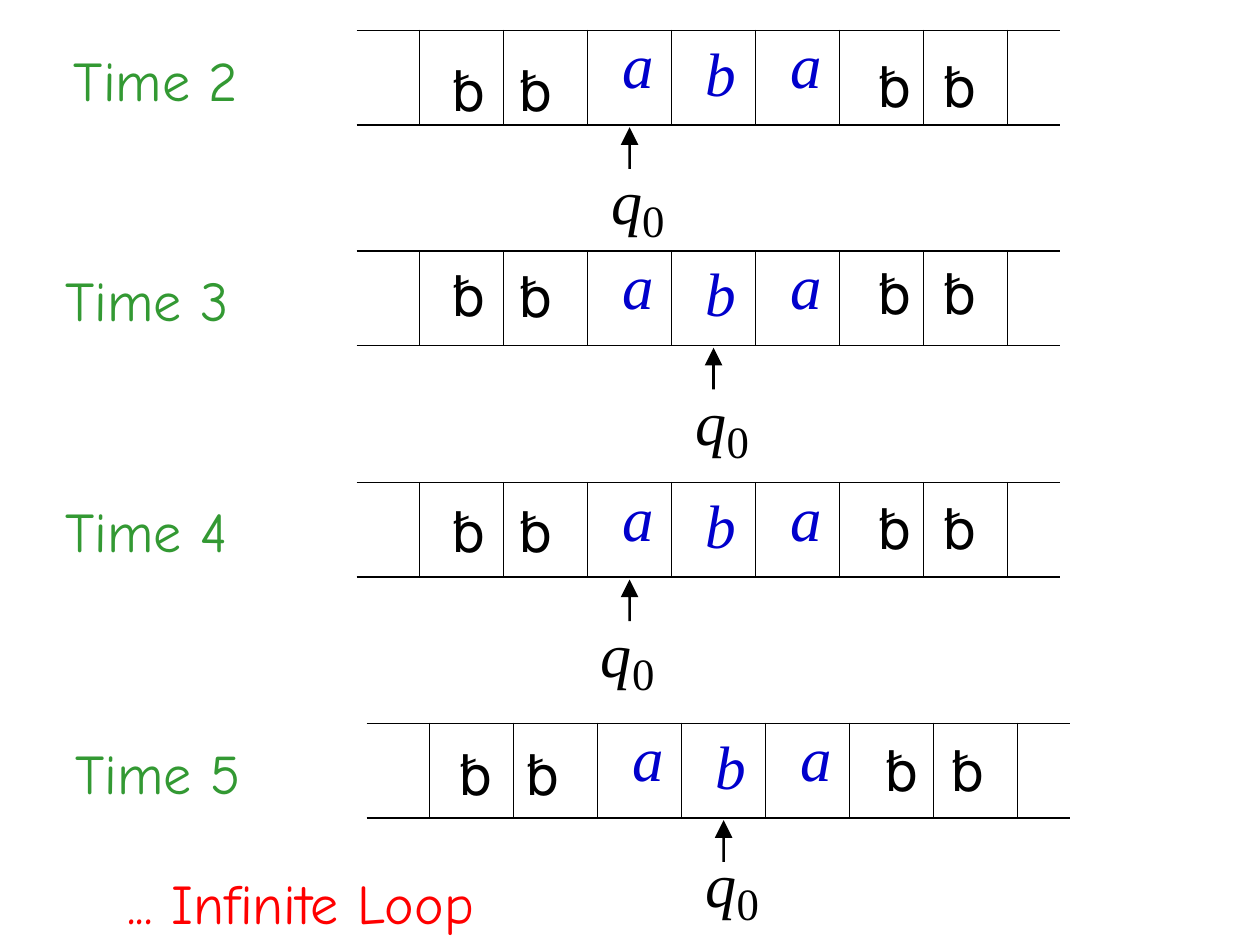
"""Build a slide tracing a Turing machine tape through an infinite loop."""
from lxml import etree
from pptx import Presentation
from pptx import util as u
from pptx.dml.color import RGBColor
from pptx.enum import shapes, text
from pptx.oxml.ns import qn

STEPS = [
    {"label": "Time 2", "label_at": (0.51, 0.35), "align": text.PP_ALIGN.CENTER, "tape": (2.83, 0.24),
     "head": 3, "state": (4.84, 1.15), "blank_left": 3.5, "blank_tops": (0.39, 0.39, 0.36, 0.36)},
    {"label": "Time 3", "label_at": (0.51, 2.1), "align": text.PP_ALIGN.LEFT, "tape": (2.83, 1.99),
     "head": 4, "state": (5.51, 2.9), "blank_left": 3.5, "blank_tops": (2.02, 2.03, 2, 2)},
    {"label": "Time 4", "label_at": (0.51, 3.93), "align": text.PP_ALIGN.LEFT, "tape": (2.83, 3.83),
     "head": 3, "state": (4.76, 4.74), "blank_left": 3.5, "blank_tops": (3.89, 3.89, 3.87, 3.87)},
    {"label": "Time 5", "label_at": (0.59, 5.85), "align": text.PP_ALIGN.LEFT, "tape": (2.91, 5.74),
     "head": 4, "state": (5.59, 6.57), "blank_left": 3.56, "blank_tops": (5.82, 5.82, 5.79, 5.79)},
]
SYMBOLS = {3: "a", 4: "b", 5: "a"}
SYMBOL_STYLE = {"a": (36, 0.28, 0.02, 1.1), "b": (35, 0.27, 0.09, 6)}
BLANK_OFFSETS = (0, 0.53, 3.38, 3.9)
FIRST, CELL, LAST, HEIGHT = 0.5, 2 / 3, 0.42, 0.75
WIDTHS = [FIRST] + [CELL] * 7 + [LAST]
HEAD_WIDTH, HEAD_HEIGHT, SHAFT_WIDTH = 0.14, 0.33, 0.02
BLACK, BLUE, GREEN, RED = "000000", "0000CC", "339933", "FF0000"


def style(font, name, size, color, italic=False):
    font.name, font.size, font.italic = name, u.Pt(size), italic
    font.color.rgb = RGBColor.from_string(color)


def indent(paragraph, left, before):
    paragraph.space_before = u.Pt(before)
    properties = paragraph._p.get_or_add_pPr()
    properties.set("marL", str(u.Inches(left)))
    properties.set("indent", "0")


def add_box(slide, left, top, width, height, inset=None):
    box = slide.shapes.add_textbox(*map(u.Inches, (left, top, width, height)))
    frame = box.text_frame
    frame.auto_size = text.MSO_AUTO_SIZE.SHAPE_TO_FIT_TEXT
    frame.word_wrap = inset is not None
    paragraph = frame.paragraphs[0]
    if inset is not None:
        frame.margin_left = frame.margin_right = frame.margin_bottom = 0
        frame.margin_top = u.Inches(inset)
        indent(paragraph, 0.01, 1.1)
    return paragraph


def add_caption(slide, words, left, top, width, color, align=text.PP_ALIGN.LEFT):
    paragraph = add_box(slide, left, top, width, 0.55, 0.01)
    paragraph.text, paragraph.alignment = words, align
    style(paragraph.font, "Comic Neue", 32, color)


def add_state(slide, left, top):
    paragraph = add_box(slide, left, top, 0.47, 0.61, 0.02)
    for letter, size, italic in (("q", 35.5, True), ("0", 44.2, False)):
        run = paragraph.add_run()
        run.text = letter
        style(run.font, "Times New Roman", size, BLACK, italic)
    run.font._element.set("baseline", "-17000")


def set_borders(cell, hidden):
    properties = cell._tc.get_or_add_tcPr()
    for position, side in enumerate("LRTB"):
        line = etree.Element(qn(f"a:ln{side}"), w=str(u.Pt(1)))
        if side == hidden:
            etree.SubElement(line, qn("a:noFill"))
        else:
            fill = etree.SubElement(line, qn("a:solidFill"))
            etree.SubElement(fill, qn("a:srgbClr"), val=BLACK)
        properties.insert(position, line)


def add_tape(slide, left, top):
    frame = slide.shapes.add_table(1, len(WIDTHS), *map(u.Inches, (left, top, sum(WIDTHS), HEIGHT)))
    table = frame.table
    table.first_row = table.horz_banding = False
    for index, width in enumerate(WIDTHS):
        table.columns[index].width = u.Inches(width)
        cell = table.cell(0, index)
        cell.fill.background()
        set_borders(cell, {0: "L", len(WIDTHS) - 1: "R"}.get(index))
        cell.margin_left = cell.margin_right = cell.margin_top = cell.margin_bottom = 0
        if index in SYMBOLS:
            symbol = SYMBOLS[index]
            size, left_indent, inset, before = SYMBOL_STYLE[symbol]
            cell.margin_top = u.Inches(inset)
            paragraph = cell.text_frame.paragraphs[0]
            paragraph.text = symbol
            indent(paragraph, left_indent, before)
            style(paragraph.font, "Times New Roman", size, BLUE, True)


def add_head(slide, x, top):
    bounds = (x - HEAD_WIDTH / 2, top, HEAD_WIDTH, HEAD_HEIGHT)
    arrow = slide.shapes.add_shape(shapes.MSO_SHAPE.UP_ARROW, *map(u.Inches, bounds))
    arrow.adjustments[0] = SHAFT_WIDTH / HEAD_WIDTH
    arrow.adjustments[1] = 1
    arrow.shadow.inherit = False
    arrow.fill.solid()
    arrow.fill.fore_color.rgb = RGBColor.from_string(BLACK)
    arrow.line.fill.background()


def add_step(slide, step):
    left, top = step["tape"]
    add_head(slide, left + FIRST + CELL * (step["head"] - 0.5), top + HEIGHT + 0.02)
    add_caption(slide, step["label"], *step["label_at"], 1.45, GREEN, step["align"])
    add_state(slide, *step["state"])
    add_tape(slide, left, top)
    for offset, blank_top in zip(BLANK_OFFSETS, step["blank_tops"]):
        paragraph = add_box(slide, step["blank_left"] + offset, blank_top, 0.47, 0.64)
        paragraph.text = "␢"
        style(paragraph.font, "Arial", 32, BLACK)


def main():
    presentation = Presentation()
    presentation.slide_width, presentation.slide_height = u.Inches(10), u.Inches(7.5)
    slide = presentation.slides.add_slide(presentation.slide_layouts[6])
    for step in STEPS:
        add_step(slide, step)
    add_caption(slide, "... Infinite Loop", 1, 6.88, 3.22, RED)
    presentation.save("out.pptx")


if __name__ == "__main__":
    main()
